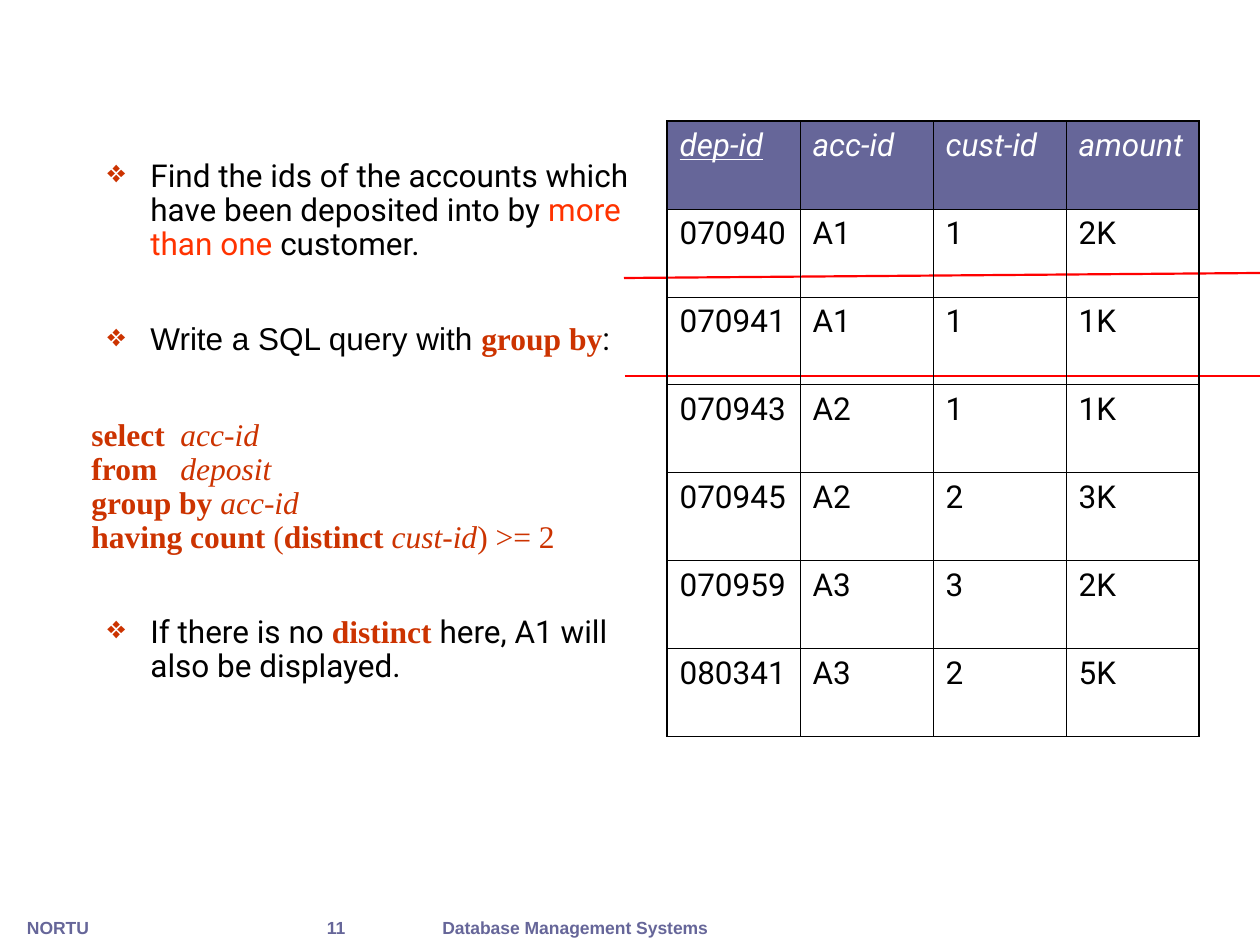
from lxml.etree import SubElement
from pptx import Presentation
from pptx.dml.color import RGBColor
from pptx.enum.shapes import MSO_CONNECTOR
from pptx.enum.text import MSO_AUTO_SIZE, PP_ALIGN
from pptx.oxml.ns import qn
from pptx.util import Emu, Pt

WHITE = RGBColor(0xFF, 0xFF, 0xFF)
BLACK = RGBColor(0x00, 0x00, 0x00)
RED = RGBColor(0xFF, 0x00, 0x00)
ORANGE = RGBColor(0xFF, 0x33, 0x00)
RUST = RGBColor(0xCC, 0x33, 0x00)
SLATE = RGBColor(0x66, 0x66, 0x99)

# Run formats
PLAIN = {"name": "Roboto", "color": BLACK}
SANS = {"name": "Arial", "color": BLACK}
ALERT = {"name": "Roboto", "color": ORANGE}
CODE = {"name": "Times New Roman", "color": RUST}
KEY = {**CODE, "bold": True}
IDENT = {**CODE, "italic": True}
HEAD = {"name": "Roboto", "color": WHITE, "italic": True}
FOOT = {"name": "Arial", "color": SLATE, "bold": True, "size": Pt(10)}

# Each paragraph is (bulleted, lines), each line a list of (text, format)
BODY_BOX = (79, 154, 597, 672)
BODY = [
    (True, [[("Find the ids of the accounts which have been deposited into by ", PLAIN),
             ("more than one", ALERT), (" customer.", PLAIN)]]),
    (True, [[("Write a SQL query with ", SANS), ("group by", KEY), (":", PLAIN)]]),
    (False, [
        [("select\t", KEY), ("acc-id", IDENT)],
        [("from\t", KEY), ("deposit", IDENT)],
        [("group by ", KEY), ("acc-id", IDENT)],
        [("having count ", KEY), ("(", CODE), ("distinct ", KEY),
         ("cust-id", IDENT), (") >= 2", CODE)],
    ]),
    (True, [[("If there is no ", PLAIN), ("distinct ", KEY),
             ("here, A1 will also be displayed.", PLAIN)]]),
]
GAP = Pt(35)
INDENT, HANG, TAB = 59, 43, 89

DEPOSITS = [
    ("dep-id", "acc-id", "cust-id", "amount"),
    ("070940", "A1", "1", "2K"),
    ("070941", "A1", "1", "1K"),
    ("070943", "A2", "1", "1K"),
    ("070945", "A2", "2", "3K"),
    ("070959", "A3", "3", "2K"),
    ("080341", "A3", "2", "5K"),
]
GRID_X, GRID_Y, COL_W, ROW_H = 667, 121, 133, 88
THIN, THICK = Pt(0.45), Pt(1.08)

RULES = [(624, 278, 1260, 273), (625, 376, 1260, 376)]
FOOTERS = [("NORTU", 8, 100), ("11", 281, 110), ("Database Management Systems", 415, 320)]
FOOT_Y, FOOT_H = 911, 34


def px(*vals):
    """Turn px into EMU at 126 px to the inch."""
    return [Emu(round(v * 914400 / 126)) for v in vals]


def add_run(para, text, form):
    run = para.add_run()
    run.text = text
    for key, val in {"size": Pt(18), **form}.items():
        if key == "color":
            run.font.color.rgb = val
        else:
            setattr(run.font, key, val)


def add_bullet(para):
    props = para._p.get_or_add_pPr()
    left, hang = px(INDENT, HANG)
    props.set("marL", str(left))
    props.set("indent", str(-hang))
    color = SubElement(props, qn("a:buClr"))
    SubElement(color, qn("a:srgbClr"), val=str(RUST))
    SubElement(props, qn("a:buChar"), char="❖")


def add_tab(para):
    stops = SubElement(para._p.get_or_add_pPr(), qn("a:tabLst"))
    SubElement(stops, qn("a:tab"), pos=str(px(TAB)[0]), algn="l")


def add_body(slide):
    frame = slide.shapes.add_textbox(*px(*BODY_BOX)).text_frame
    frame.word_wrap = True
    for i, (bullet, lines) in enumerate(BODY):
        para = frame.paragraphs[0] if i == 0 else frame.add_paragraph()
        para.line_spacing = 0.9
        para.space_before = GAP if i else Pt(7.9)
        (add_bullet if bullet else add_tab)(para)
        for n, line in enumerate(lines):
            if n:
                para.add_line_break()
            for text, form in line:
                add_run(para, text, form)


def add_rule(slide, ends):
    line = slide.shapes.add_connector(MSO_CONNECTOR.STRAIGHT, *px(*ends))
    line.line.color.rgb = RED
    line.line.width = Pt(1.25)
    SubElement(line._element.spPr, qn("a:effectLst"))


def add_borders(cell, outer):
    """Draw all four sides, thick on those that outer marks as the table's edge."""
    props = cell._tc.get_or_add_tcPr()
    for side, edge in outer.items():
        line = SubElement(props, qn("a:ln" + side), w=str(THICK if edge else THIN))
        fill = SubElement(line, qn("a:solidFill"))
        SubElement(fill, qn("a:srgbClr"), val=str(BLACK))


def add_deposits(slide):
    rows, cols = len(DEPOSITS), len(DEPOSITS[0])
    size = px(GRID_X, GRID_Y, cols * COL_W, rows * ROW_H)
    table = slide.shapes.add_table(rows, cols, *size).table
    table.first_row = table.horz_banding = False
    for r, row in enumerate(DEPOSITS):
        for c, text in enumerate(row):
            cell = table.cell(r, c)
            add_borders(cell, {"L": c == 0, "R": c == cols - 1,
                               "T": r == 0, "B": r == rows - 1})
            if r == 0:
                cell.fill.solid()
                cell.fill.fore_color.rgb = SLATE
                form = {**HEAD, "underline": c == 0}
            else:
                cell.fill.background()
                form = PLAIN
            para = cell.text_frame.paragraphs[0]
            para.space_before = Pt(7.9)
            add_run(para, text, form)


def add_footer(slide, text, left, width):
    box = slide.shapes.add_textbox(*px(left, FOOT_Y, width, FOOT_H))
    box.text_frame.word_wrap = False
    box.text_frame.auto_size = MSO_AUTO_SIZE.SHAPE_TO_FIT_TEXT
    para = box.text_frame.paragraphs[0]
    para.alignment = PP_ALIGN.CENTER
    para.space_before = Pt(6.2)
    add_run(para, text, FOOT)


def main():
    deck = Presentation()
    deck.slide_width, deck.slide_height = px(1260, 945)
    slide = deck.slides.add_slide(deck.slide_layouts[6])
    for foot in FOOTERS:
        add_footer(slide, *foot)
    add_body(slide)
    for ends in RULES:
        add_rule(slide, ends)
    add_deposits(slide)
    deck.save("out.pptx")


if __name__ == "__main__":
    main()
